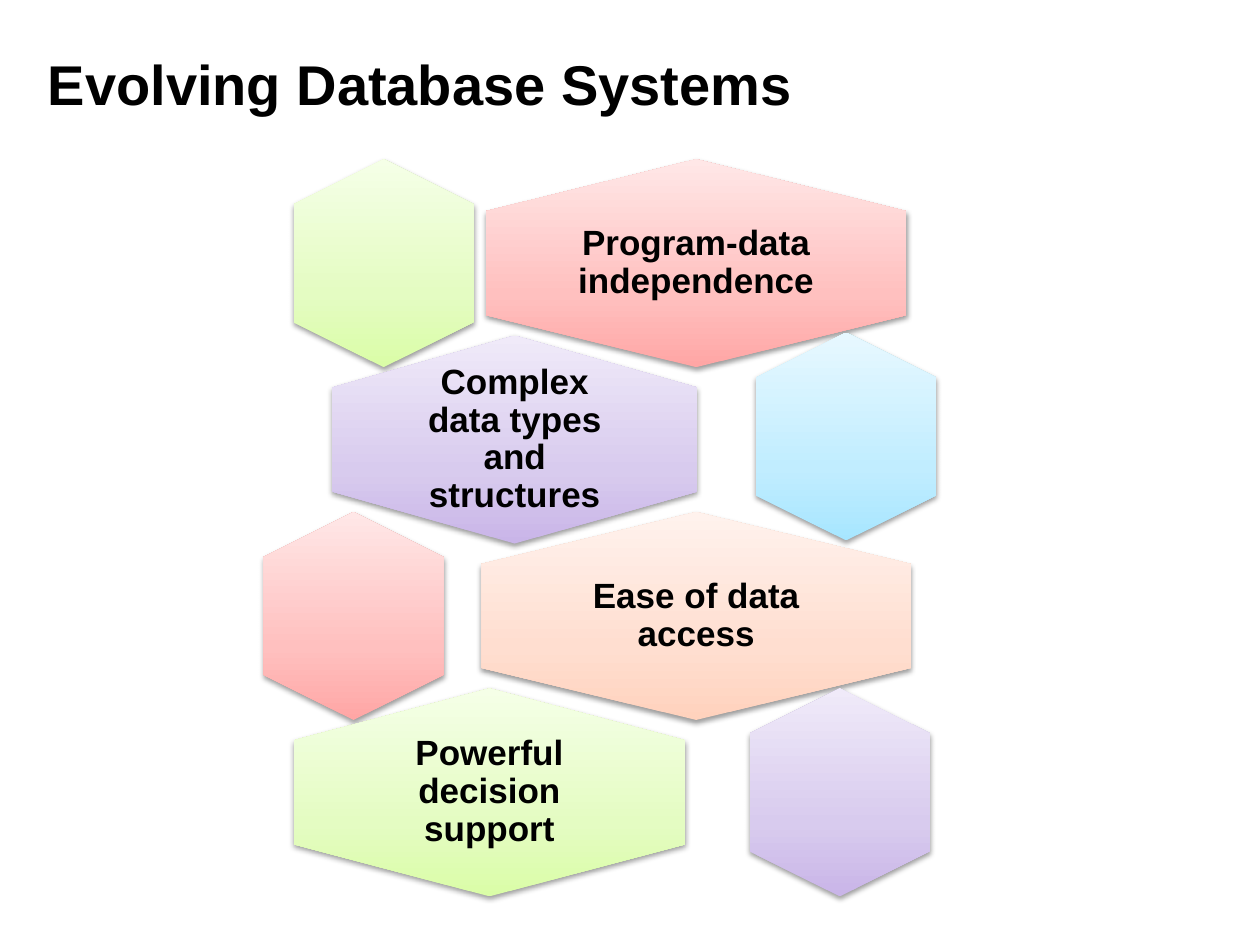
from pptx import Presentation
from pptx.dml.color import RGBColor
from pptx.enum.shapes import MSO_SHAPE as Shape
from pptx.enum.text import MSO_ANCHOR as Anchor, PP_ALIGN as Align
from pptx.oxml import parse_xml
from pptx.oxml.ns import nsdecls
from pptx.util import Pt

TEXT = "000000"
# Gradient stops from bottom to top
COLORS = {
    "red": ("FFA6A5", "FFC0BF", "FFE7E7"),
    "green": ("DAFDA7", "E4FCC2", "F5FFE7"),
    "purple": ("C9B5E8", "D8CBEE", "F0EAF9"),
    "blue": ("A7E6FF", "C1EDFF", "E7F8FF"),
    "orange": ("FFD2BD", "FFDED0", "FFF2ED"),
}
STOPS = (0, 35000, 100000)
HEX_HEIGHT = 118.8
SMALL_WIDTH = 103
ROW_PITCH = 100.8

# Per row: label, (colour, centre x, width) of the labelled hexagon,
# then (colour, centre x, rise) of the small one
ROWS = [
    ("Program-data independence", ("red", 255.2, 240.5), ("green", 76.6, 0)),
    ("Complex data types and structures", ("purple", 151.5, 208.8), ("blue", 340.9, 1.8)),
    ("Ease of data access", ("orange", 255.2, 245.5), ("red", 59.4, 0)),
    ("Powerful decision support", ("green", 137.1, 223.9), ("purple", 337.3, 0)),
]


def add_span(para, text, size):
    span = para.add_run()
    span.text = text
    span.font.name = "Arial"
    span.font.size = Pt(size)
    span.font.bold = True
    span.font.color.rgb = RGBColor.from_string(TEXT)


def add_title(page, left, top, width, height):
    title = page.shapes.title
    title.left, title.top, title.width, title.height = map(Pt, (left, top, width, height))
    title.text_frame.vertical_anchor = Anchor.MIDDLE
    para = title.text_frame.paragraphs[0]
    para.alignment = Align.LEFT
    add_span(para, "Evolving Database Systems", 32)


def add_hexagon(page, center_x, center_y, width, color):
    # Turned a quarter, so its own width is the height that shows
    hexagon = page.shapes.add_shape(
        Shape.HEXAGON, Pt(center_x - HEX_HEIGHT / 2), Pt(center_y - width / 2),
        Pt(HEX_HEIGHT), Pt(width))
    hexagon.rotation = 90
    hexagon.adjustments[0] = 0.25
    hexagon.line.fill.background()
    stops = "".join(f'<a:gs pos="{pos}"><a:srgbClr val="{value}"/></a:gs>'
                    for pos, value in zip(STOPS, COLORS[color]))
    properties = hexagon._element.spPr
    properties.insert(2, parse_xml(
        f'<a:gradFill {nsdecls("a")} rotWithShape="0"><a:gsLst>{stops}</a:gsLst>'
        '<a:lin ang="16200000" scaled="0"/></a:gradFill>'))
    properties.append(parse_xml(
        f'<a:effectLst {nsdecls("a")}><a:outerShdw blurRad="{Pt(3.1)}" dist="{Pt(1.6)}" '
        'dir="5400000" rotWithShape="0"><a:srgbClr val="000000"><a:alpha val="38000"/>'
        '</a:srgbClr></a:outerShdw></a:effectLst>'))


def add_label(page, center_x, center_y, hex_width, text):
    # The label takes the middle two thirds of its hexagon
    width, height = hex_width * 2 / 3, HEX_HEIGHT * 2 / 3
    box = page.shapes.add_textbox(
        Pt(center_x - width / 2), Pt(center_y - height / 2), Pt(width), Pt(height))
    frame = box.text_frame
    frame.word_wrap = True
    frame.vertical_anchor = Anchor.MIDDLE
    frame.margin_left = frame.margin_right = frame.margin_top = frame.margin_bottom = Pt(6)
    para = frame.paragraphs[0]
    para.alignment = Align.CENTER
    para.line_spacing = 0.9
    add_span(para, text, 20)


def add_honeycomb(page, left, top):
    for index, (text, wide, small) in enumerate(ROWS):
        center_y = top + HEX_HEIGHT / 2 + index * ROW_PITCH
        color, center_x, width = wide
        add_hexagon(page, left + center_x, center_y, width, color)
        add_label(page, left + center_x, center_y, width, text)
        color, center_x, rise = small
        add_hexagon(page, left + center_x, center_y - rise, SMALL_WIDTH, color)


def main():
    deck = Presentation()
    deck.slide_width, deck.slide_height = Pt(720), Pt(540)
    page = deck.slides.add_slide(deck.slide_layouts[5])
    add_title(page, 20.2, 24.5, 541.4, 46)
    add_honeycomb(page, 142.6, 91)
    deck.save("out.pptx")


if __name__ == "__main__":
    main()
